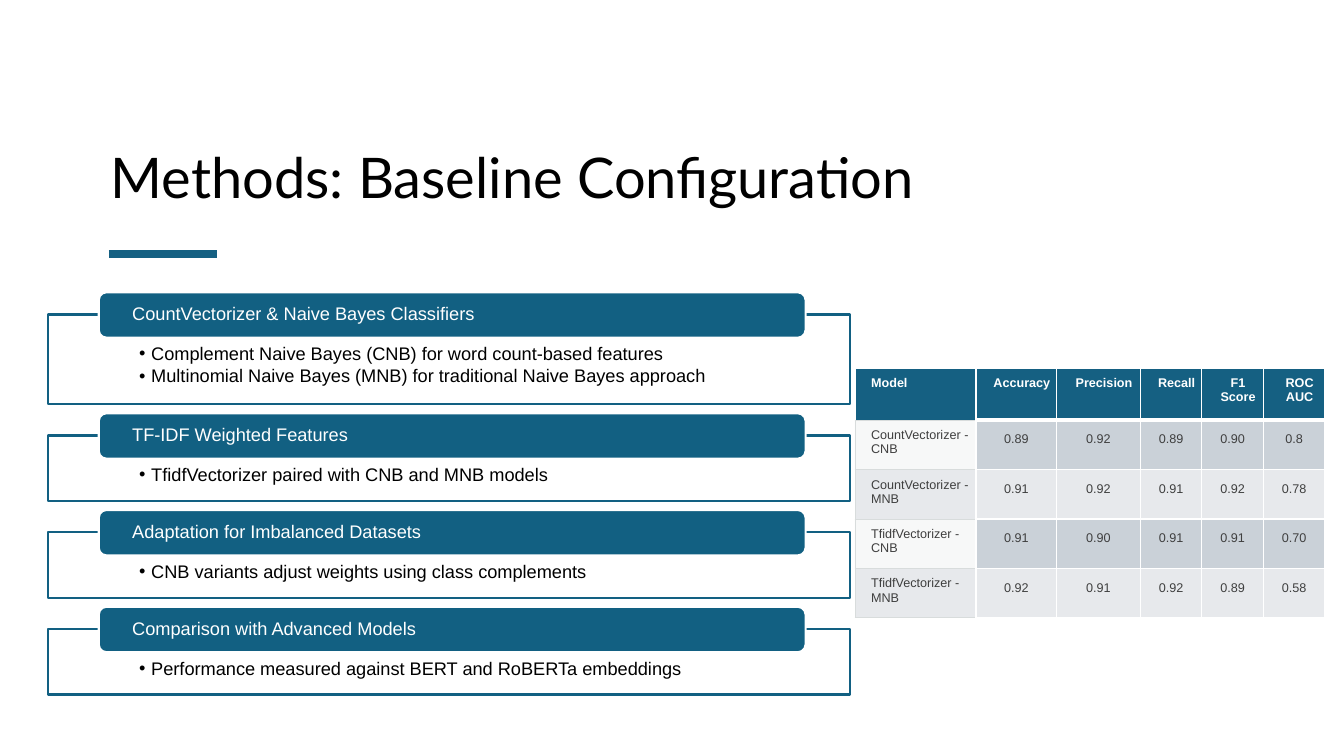
from lxml import etree
from pptx import Presentation
from pptx.dml.color import RGBColor
from pptx.enum.shapes import MSO_CONNECTOR, MSO_SHAPE
from pptx.enum.text import MSO_ANCHOR, MSO_AUTO_SIZE, PP_ALIGN
from pptx.oxml import parse_xml
from pptx.oxml.ns import nsdecls, qn
from pptx.util import Inches, Pt

COLORS = {
    "black": "000000", "white": "FFFFFF", "panel": "126082", "accent": "156082",
    "text": "3F3F3F", "dark band": "CAD1D8", "light band": "E7E9EC",
    "model tint": "D8DEDC", "model border": "D8DCDC",
}


def paint(fill, color, opacity=100):
    """Fill with a solid colour at the given opacity in percent."""
    fill.solid()
    fill.fore_color.rgb = RGBColor.from_string(COLORS[color])
    if opacity < 100:
        element = fill._xPr.find(qn("a:solidFill"))[0]
        etree.SubElement(element, qn("a:alpha"), val=str(opacity * 1000))


def write(paragraph, text, size, color, font="Arial", bold=False):
    """Add one formatted run to a paragraph."""
    run = paragraph.add_run()
    run.text = text
    run.font.name = font
    run.font.size = Pt(size)
    run.font.bold = bold
    run.font.color.rgb = RGBColor.from_string(COLORS[color])


presentation = Presentation()
presentation.slide_width = Inches(13.33)
presentation.slide_height = Inches(7.5)
slide = presentation.slides.add_slide(presentation.slide_layouts[5])

# Title
title = slide.shapes.title
title.left, title.top = Inches(1), Inches(0.62)
title.width, title.height = Inches(11.61), Inches(1.52)
title_frame = title.text_frame
title_frame.auto_size = MSO_AUTO_SIZE.NONE
title_frame.vertical_anchor = MSO_ANCHOR.BOTTOM
title_paragraph = title_frame.paragraphs[0]
title_paragraph.alignment = PP_ALIGN.LEFT
title_paragraph.line_spacing = 0.9
write(title_paragraph, "Methods: Baseline Configuration", 40, "black", font="Lato")

# Panels, each with a heading over its top edge
panels = [
    ("CountVectorizer & Naive Bayes Classifiers", 0.89,
     ["Complement Naive Bayes (CNB) for word count-based features",
      "Multinomial Naive Bayes (MNB) for traditional Naive Bayes approach"]),
    ("TF-IDF Weighted Features", 0.65,
     ["TfidfVectorizer paired with CNB and MNB models"]),
    ("Adaptation for Imbalanced Datasets", 0.65,
     ["CNB variants adjust weights using class complements"]),
    ("Comparison with Advanced Models", 0.65,
     ["Performance measured against BERT and RoBERTa embeddings"]),
]
panel_top = 3.12
panel_gap = 0.31
for heading_text, panel_height, points in panels:
    panel = slide.shapes.add_shape(
        MSO_SHAPE.RECTANGLE, Inches(0.48), Inches(panel_top), Inches(7.95), Inches(panel_height))
    heading = slide.shapes.add_shape(
        MSO_SHAPE.ROUNDED_RECTANGLE,
        Inches(0.98), Inches(panel_top - 0.22), Inches(7.01), Inches(0.45))
    for shape, fill_color, opacity, line_color, side, top, bottom, anchor in (
            (panel, "white", 90, "panel", 0.9, 0.3, 0.1, MSO_ANCHOR.TOP),
            (heading, "panel", 100, "white", 0.31, 0, 0, MSO_ANCHOR.MIDDLE)):
        shape.shadow.inherit = False
        paint(shape.fill, fill_color, opacity)
        paint(shape.line.fill, line_color)
        shape.line.width = Pt(1.5)
        frame = shape.text_frame
        frame.word_wrap = True
        frame.margin_left = frame.margin_right = Inches(side)
        frame.margin_top, frame.margin_bottom = Inches(top), Inches(bottom)
        frame.vertical_anchor = anchor

    heading_paragraph = heading.text_frame.paragraphs[0]
    heading_paragraph.alignment = PP_ALIGN.LEFT
    heading_paragraph.line_spacing = 0.9
    write(heading_paragraph, heading_text, 13, "white")

    for index, point in enumerate(points):
        frame = panel.text_frame
        paragraph = frame.add_paragraph() if index else frame.paragraphs[0]
        paragraph.alignment = PP_ALIGN.LEFT
        paragraph.level = 1
        paragraph.line_spacing = 0.9
        paragraph.space_before = Pt(1.9 if index else 0)
        properties = paragraph._p.get_or_add_pPr()
        properties.set("marL", str(Inches(0.12)))
        properties.set("indent", str(Inches(-0.12)))
        etree.SubElement(properties, qn("a:buFont"), typeface="Arial")
        etree.SubElement(properties, qn("a:buChar"), char="•")
        write(paragraph, point, 13, "black")
    panel_top += panel_height + panel_gap

# Accent line under the title
accent = slide.shapes.add_connector(
    MSO_CONNECTOR.STRAIGHT, Inches(1.08), Inches(2.52), Inches(2.15), Inches(2.52))
paint(accent.line.fill, "accent")
accent.line.width = Pt(6)
etree.SubElement(accent._element.spPr, qn("a:effectLst"))

# Results table
results = [
    ["Model", "Accuracy", "Precision", "Recall", "F1 Score", "ROC AUC"],
    ["CountVectorizer - CNB", "0.89", "0.92", "0.89", "0.90", "0.8"],
    ["CountVectorizer - MNB", "0.91", "0.92", "0.91", "0.92", "0.78"],
    ["TfidfVectorizer - CNB", "0.91", "0.90", "0.91", "0.91", "0.70"],
    ["TfidfVectorizer - MNB", "0.92", "0.91", "0.92", "0.89", "0.58"],
]
column_widths = [1.2, 0.8, 0.83, 0.61, 0.61, 0.61]
row_heights = [0.52] + [0.49] * 4
table = slide.shapes.add_table(
    len(results), len(column_widths), Inches(8.48), Inches(3.65),
    Inches(sum(column_widths)), Inches(sum(row_heights))).table
for column, width in zip(table.columns, column_widths):
    column.width = Inches(width)
for row, height in zip(table.rows, row_heights):
    row.height = Inches(height)

for row_index, values in enumerate(results):
    for column_index, value in enumerate(values):
        cell = table.cell(row_index, column_index)
        is_header = row_index == 0
        is_model = column_index == 0
        if is_header:
            paint(cell.fill, "accent")
        elif row_index % 2 == 0:
            paint(cell.fill, "light band")
        elif is_model:
            paint(cell.fill, "model tint", 20)
        else:
            paint(cell.fill, "dark band")

        if is_header or is_model:
            margins = (0.16, 0.08, 0.05, 0.08)
        else:
            margins = (0.1, 0.1, 0.1, 0.1)
        (cell.margin_left, cell.margin_top,
         cell.margin_right, cell.margin_bottom) = map(Inches, margins)
        paragraph = cell.text_frame.paragraphs[0]
        paragraph.alignment = PP_ALIGN.LEFT if is_model else PP_ALIGN.CENTER
        paragraph.line_spacing = 1.0 if is_header or is_model else 1.15
        write(paragraph, value, 9, "white" if is_header else "text", bold=is_header)

        borders = {side: ("white", 1) for side in ("lnL", "lnR", "lnT", "lnB")}
        if is_model:
            borders["lnB"] = ("model border", 0.75)
            if not is_header:
                borders["lnL"] = borders["lnT"] = ("model border", 0.75)
        elif is_header:
            borders["lnB"] = ("white", 3)
        elif row_index == 1:
            borders["lnT"] = ("white", 3)
        for position, (side, (color, width)) in enumerate(borders.items()):
            border = parse_xml(
                f'<a:{side} {nsdecls("a")} w="{Pt(width)}"><a:solidFill>'
                f'<a:srgbClr val="{COLORS[color]}"/></a:solidFill></a:{side}>')
            cell._tc.get_or_add_tcPr().insert(position, border)

presentation.save("out.pptx")
